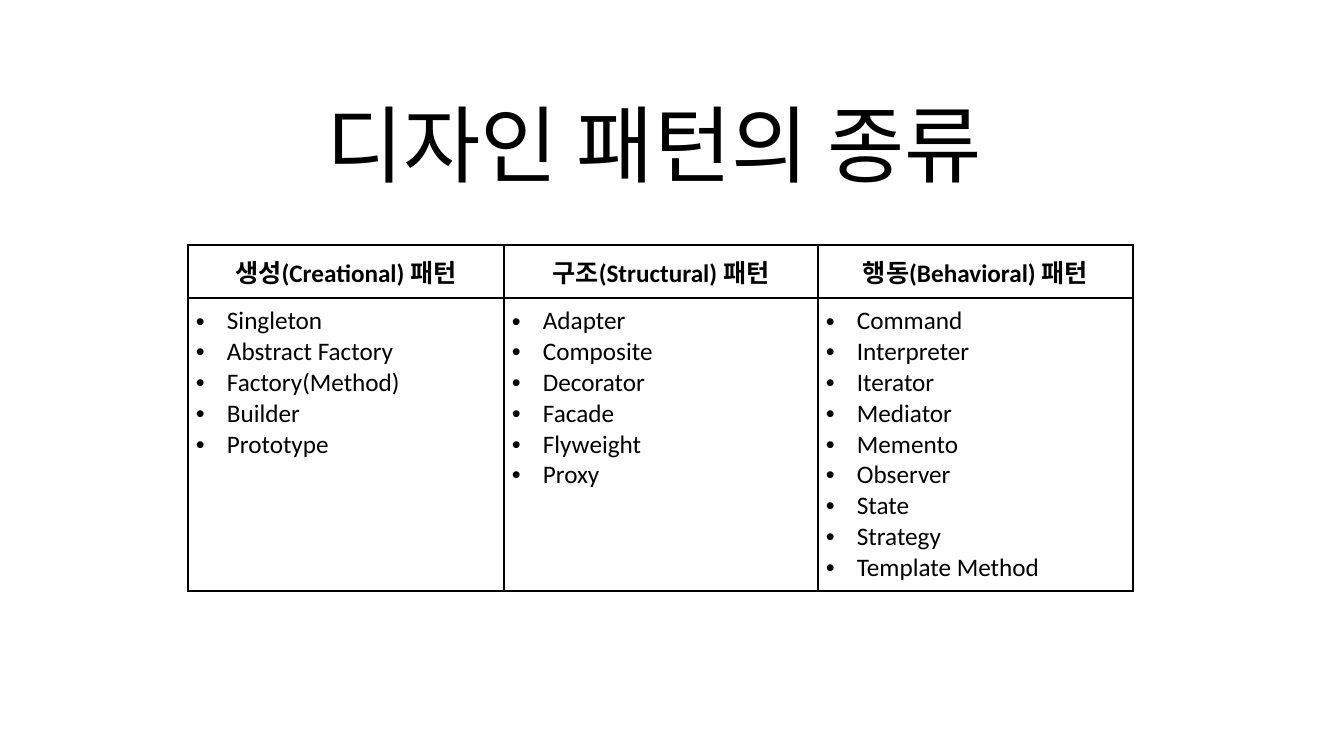
import pptx
import pptx.util
import pptx.dml.color
import pptx.enum.text
import pptx.oxml.ns
import lxml.etree

TITLE = "디자인 패턴의 종류"
PATTERNS = {
    "생성(Creational) 패턴": [
        "Singleton", "Abstract Factory", "Factory(Method)", "Builder", "Prototype",
    ],
    "구조(Structural) 패턴": [
        "Adapter", "Composite", "Decorator", "Facade", "Flyweight", "Proxy",
    ],
    "행동(Behavioral) 패턴": [
        "Command", "Interpreter", "Iterator", "Mediator", "Memento",
        "Observer", "State", "Strategy", "Template Method",
    ],
}
COLORS = {"text": "000000", "border": "000000", "fill": "FFFFFF"}
FONT = "Calibri"
TITLE_BOX = (150, 93, 1008, 112)
TABLE_LEFT, TABLE_TOP = 188, 245
COL_WIDTHS = [316, 314, 315]
ROW_HEIGHTS = [53, 293]
CELL_MARGIN = 8
BULLET_INDENT = 31
ALIGN = pptx.enum.text.PP_ALIGN


def px(n):
    return pptx.util.Emu(round(n * 914400 / 100.8))


def rgb(name):
    return pptx.dml.color.RGBColor.from_string(COLORS[name])


def add_xml(parent, tag, **attrs):
    return lxml.etree.SubElement(parent, pptx.oxml.ns.qn(tag), attrs)


def add_text(p, text, size, bold=False):
    r = p.add_run()
    r.text = text
    r.font.name = FONT
    r.font.size = pptx.util.Pt(size)
    r.font.bold = bold
    r.font.color.rgb = rgb("text")


def add_bullet(p):
    pPr = p._p.get_or_add_pPr()
    pPr.set("marL", str(px(BULLET_INDENT)))
    pPr.set("indent", str(-px(BULLET_INDENT)))
    add_xml(pPr, "a:buFont", typeface="Arial")
    add_xml(pPr, "a:buChar", char="•")


def style_cell(cell):
    cell.margin_left = cell.margin_right = px(CELL_MARGIN)
    cell.margin_top = cell.margin_bottom = px(CELL_MARGIN)
    tcPr = cell._tc.get_or_add_tcPr()
    for side in ("a:lnL", "a:lnR", "a:lnT", "a:lnB"):
        ln = add_xml(tcPr, side, w=str(pptx.util.Pt(1)))
        add_xml(add_xml(ln, "a:solidFill"), "a:srgbClr", val=COLORS["border"])
    cell.fill.solid()
    cell.fill.fore_color.rgb = rgb("fill")


def fill_cell(cell, lines, header):
    style_cell(cell)
    tf = cell.text_frame
    for i, line in enumerate(lines):
        p = tf.add_paragraph() if i else tf.paragraphs[0]
        p.alignment = ALIGN.CENTER if header else ALIGN.LEFT
        if not header:
            add_bullet(p)
        add_text(p, line, 18, bold=header)


def add_pattern_table(slide):
    frame = slide.shapes.add_table(
        len(ROW_HEIGHTS), len(PATTERNS), px(TABLE_LEFT), px(TABLE_TOP),
        px(sum(COL_WIDTHS)), px(sum(ROW_HEIGHTS)))
    table = frame.table
    table.first_row = table.horz_banding = False
    for row, height in zip(table.rows, ROW_HEIGHTS):
        row.height = px(height)
    for col, width in zip(table.columns, COL_WIDTHS):
        col.width = px(width)
    for c, (heading, names) in enumerate(PATTERNS.items()):
        fill_cell(table.cell(0, c), [heading], header=True)
        fill_cell(table.cell(1, c), names, header=False)


def add_title(slide):
    tf = slide.shapes.add_textbox(*map(px, TITLE_BOX)).text_frame
    tf.word_wrap = True
    tf.vertical_anchor = pptx.enum.text.MSO_ANCHOR.MIDDLE
    p = tf.paragraphs[0]
    p.alignment = ALIGN.CENTER
    p.line_spacing = 0.9
    add_text(p, TITLE, 60)


def main():
    prs = pptx.Presentation()
    prs.slide_width, prs.slide_height = px(1344), px(756)
    slide = prs.slides.add_slide(prs.slide_layouts[6])
    add_pattern_table(slide)
    add_title(slide)
    prs.save("out.pptx")


if __name__ == "__main__":
    main()
